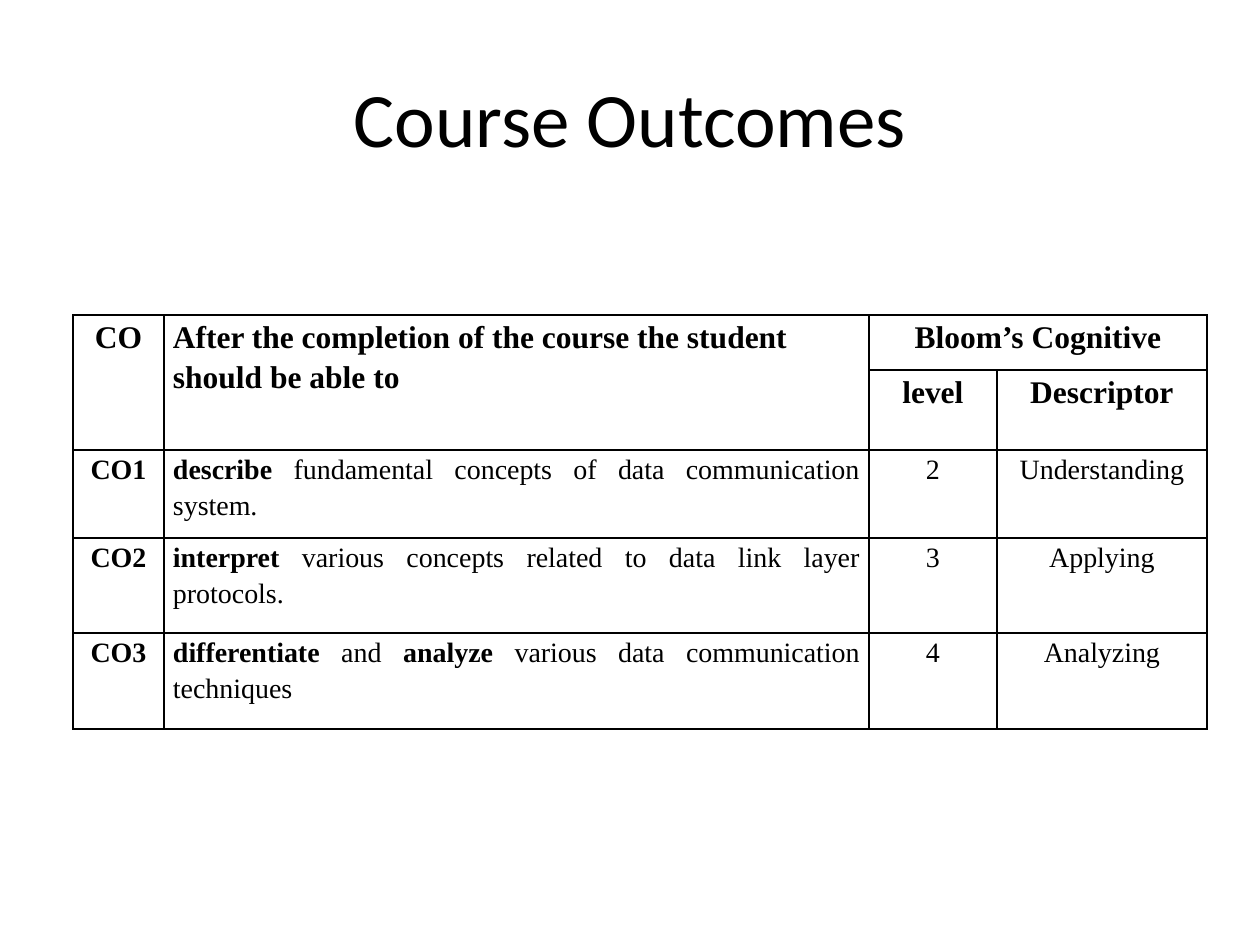
from lxml import etree
from pptx import Presentation
from pptx.dml.color import RGBColor
from pptx.enum.text import MSO_ANCHOR, PP_ALIGN as Align
from pptx.oxml.ns import qn
from pptx.util import Emu, Pt

PX = 914400 // 126
BLACK = "000000"
TITLE_FONT, TABLE_FONT = "Calibri", "Times New Roman"

COL_WIDTHS = [91, 705, 128, 210]
ROW_HEIGHTS = [55, 80, 88, 95, 96]
HEADERS = [
    (0, 0, "CO", Align.CENTER),
    (0, 1, "After the completion of the course the student should be able to", Align.LEFT),
    (0, 2, "Bloom’s Cognitive", Align.CENTER),
    (1, 2, "level", Align.CENTER),
    (1, 3, "Descriptor", Align.CENTER),
]
MERGES = [(0, 0, 1, 0), (0, 1, 1, 1), (0, 2, 0, 3)]
# Words between ** marks are bold.
OUTCOMES = [
    ("**CO1**", "**describe** fundamental concepts of data communication system.",
     "2", "Understanding"),
    ("**CO2**", "**interpret** various concepts related to data link layer protocols.",
     "3", "Applying"),
    ("**CO3**", "**differentiate** and **analyze** various data communication techniques",
     "4", "Analyzing"),
]


def px(n):
    return Emu(n * PX)


def rgb(color):
    return RGBColor.from_string(color)


def write(tf, text, size, font=TABLE_FONT, color=BLACK, align=Align.CENTER, spacing=None):
    """Fill a text frame; parts between ** marks become bold runs."""
    p = tf.paragraphs[0]
    p.alignment = align
    if spacing:
        p.line_spacing = spacing
    for i, part in enumerate(text.split("**")):
        if part:
            r = p.add_run()
            r.text = part
            r.font.size = Pt(size)
            r.font.name = font
            r.font.bold = i % 2 == 1
            r.font.color.rgb = rgb(color)


def set_borders(cell, color=BLACK, width=1):
    tc_pr = cell._tc.get_or_add_tcPr()
    for i, side in enumerate(("lnL", "lnR", "lnT", "lnB")):
        ln = etree.Element(qn(f"a:{side}"), w=str(Pt(width)))
        fill = etree.SubElement(ln, qn("a:solidFill"))
        etree.SubElement(fill, qn("a:srgbClr"), val=color)
        tc_pr.insert(i, ln)


def format_cell(cell):
    cell.margin_left = cell.margin_right = px(9)
    cell.margin_top = cell.margin_bottom = 0
    cell.fill.background()
    set_borders(cell)


def add_title(s, text):
    sp = s.shapes.title
    sp.left, sp.top, sp.width, sp.height = px(63), px(38), px(1134), px(158)
    sp.text_frame.vertical_anchor = MSO_ANCHOR.MIDDLE
    write(sp.text_frame, text, 44, font=TITLE_FONT)


def add_outcomes_table(s):
    frame = s.shapes.add_table(len(ROW_HEIGHTS), len(COL_WIDTHS), px(73), px(315),
                               px(sum(COL_WIDTHS)), px(sum(ROW_HEIGHTS)))
    table = frame.table
    table.first_row = table.horz_banding = False
    for col, width in zip(table.columns, COL_WIDTHS):
        col.width = px(width)
    for row, height in zip(table.rows, ROW_HEIGHTS):
        row.height = px(height)
    for cell in table.iter_cells():
        format_cell(cell)
    for top, left, bottom, right in MERGES:
        table.cell(top, left).merge(table.cell(bottom, right))

    for row, col, text, align in HEADERS:
        write(table.cell(row, col).text_frame, f"**{text}**", 18, align=align, spacing=1.15)
    for row, outcome in enumerate(OUTCOMES, start=2):
        for col, text in enumerate(outcome):
            align = Align.JUSTIFY if col == 1 else Align.CENTER
            write(table.cell(row, col).text_frame, text, 16, align=align, spacing=1.15)


def main():
    prs = Presentation()
    prs.slide_width, prs.slide_height = px(1260), px(945)
    s = prs.slides.add_slide(prs.slide_layouts[5])
    add_title(s, "Course Outcomes")
    add_outcomes_table(s)
    prs.save("out.pptx")


if __name__ == "__main__":
    main()
